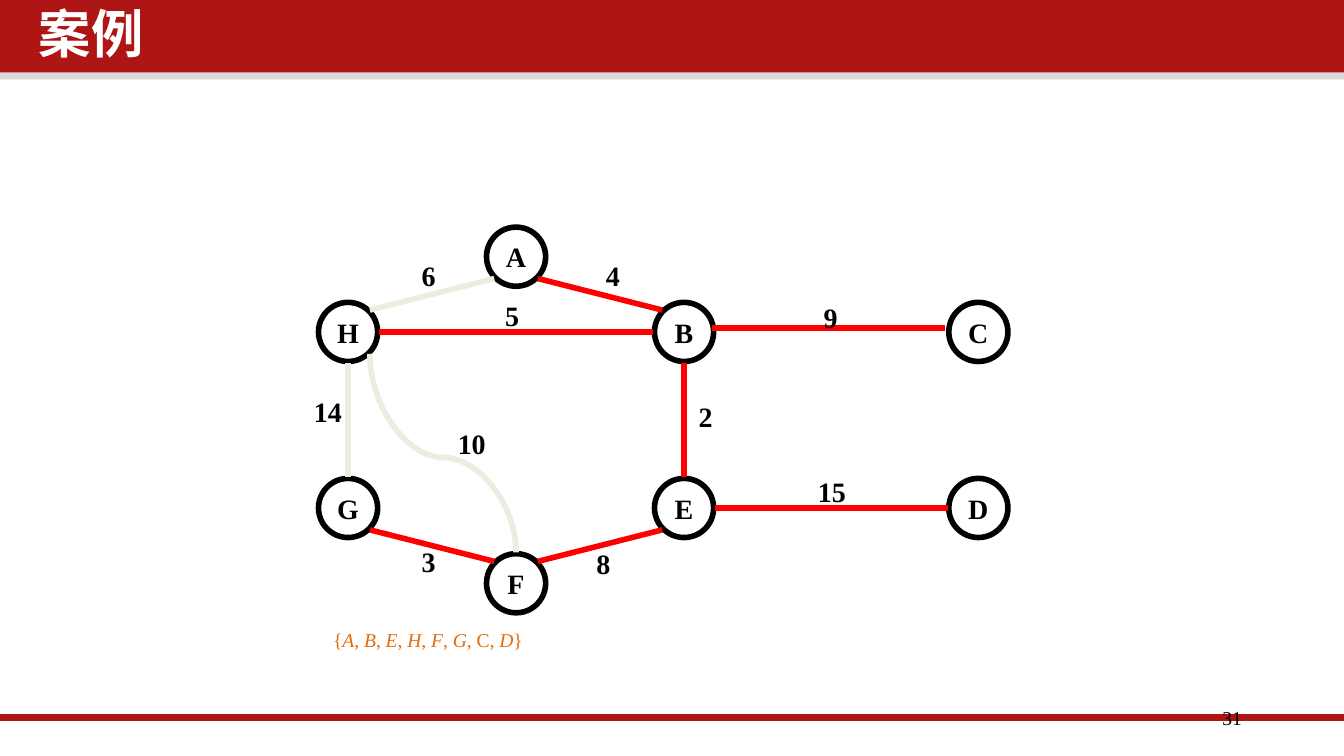
"""Build a slide showing a weighted graph with its spanning tree in red."""
from dataclasses import dataclass
from itertools import groupby
from math import sqrt

from lxml.etree import SubElement
from pptx import Presentation
from pptx.dml.color import RGBColor
from pptx.enum.shapes import MSO_CONNECTOR, MSO_SHAPE
from pptx.enum.text import MSO_ANCHOR, MSO_AUTO_SIZE, PP_ALIGN
from pptx.oxml.ns import qn
from pptx.util import Inches, Pt

SERIF = "Times New Roman"
SANS = "Noto Sans CJK SC"
RED, BAND, PALE, BLACK = "FF0000", "AE1616", "EEECE1", "000000"
RADIUS, REACH = 0.22, 0.23
D = sqrt(0.5)
SITES = {"N": (0, -1), "S": (0, 1), "W": (-1, 0), "E": (1, 0),
         "NW": (-D, -D), "NE": (D, -D), "SW": (-D, D), "SE": (D, D)}


@dataclass
class Node:
    name: str
    x: float
    y: float

    def site(self, side: str) -> tuple[float, float]:
        dx, dy = SITES[side]
        return self.x + REACH * dx, self.y + REACH * dy


@dataclass
class Edge:
    start: str
    start_side: str
    end: str
    end_side: str
    weight: str
    label_x: float
    label_y: float
    color: str = RED
    shift_x: float = 0
    shift_y: float = 0
    curved: bool = False


LEFT, MID, RIGHT, FAR = 2.59, 3.84, 5.09, 7.28
NODES = {n.name: n for n in (
    Node("H", LEFT, 2.47), Node("B", RIGHT, 2.47), Node("C", FAR, 2.47),
    Node("G", LEFT, 3.78), Node("E", RIGHT, 3.78), Node("D", FAR, 3.78),
    Node("F", MID, 4.34), Node("A", MID, 1.91))}
EDGES = [
    Edge("A", "SE", "B", "NW", "4", 4.56, 2.05),
    Edge("A", "SW", "H", "NE", "6", 3.19, 2.05, PALE),
    Edge("H", "E", "B", "W", "5", 3.81, 2.35),
    Edge("G", "N", "H", "S", "14", 2.44, 3.06, PALE),
    Edge("G", "SE", "F", "NW", "3", 3.19, 4.18),
    Edge("F", "NE", "E", "SW", "8", 4.49, 4.19),
    Edge("E", "N", "B", "S", "2", 5.25, 3.1),
    Edge("B", "E", "C", "W", "9", 6.18, 2.36, shift_x=-0.02, shift_y=-0.03),
    Edge("E", "E", "D", "W", "15", 6.19, 3.66),
    Edge("F", "N", "H", "SE", "10", 3.51, 3.3, PALE, curved=True),
]


def rgb(color: str) -> RGBColor:
    return RGBColor.from_string(color)


def set_font(font, size: float, color: str = BLACK, bold: bool = False, name: str = SERIF) -> None:
    font.name, font.size, font.bold = name, Pt(size), bold
    font.color.rgb = rgb(color)


def add_band(slide, top: float, height: float, color: str) -> None:
    sp = slide.shapes.add_shape(MSO_SHAPE.RECTANGLE, 0, Inches(top), Inches(10), Inches(height))
    sp.shadow.inherit = False
    sp.fill.solid()
    sp.fill.fore_color.rgb = rgb(color)
    sp.line.fill.background()


def add_line(slide, x1: float, y1: float, x2: float, y2: float, color: str,
             width: float = 3, kind=MSO_CONNECTOR.STRAIGHT):
    line = slide.shapes.add_connector(kind, Inches(x1), Inches(y1), Inches(x2), Inches(y2))
    line.line.color.rgb = rgb(color)
    line.line.width = Pt(width)
    SubElement(line._element.spPr, qn("a:effectLst"))
    return line


def add_curve(slide, x1: float, y1: float, x2: float, y2: float, color: str) -> None:
    """Draw an S curve that leaves and arrives vertically, as a connector turned by 90 degrees."""
    cx, cy = (x1 + x2) / 2, (y1 + y2) / 2
    half_w, half_h = abs(y2 - y1) / 2, abs(x2 - x1) / 2
    line = add_line(slide, cx + half_w, cy - half_h, cx - half_w, cy + half_h,
                    color, kind=MSO_CONNECTOR.CURVE)
    sp_pr = line._element.spPr
    sp_pr.find(qn("a:xfrm")).set("rot", "5400000")
    guides = sp_pr.find(qn("a:prstGeom")).find(qn("a:avLst"))
    SubElement(guides, qn("a:gd"), name="adj1", fmla="val 47800")


def add_node(slide, node: Node) -> None:
    sp = slide.shapes.add_shape(MSO_SHAPE.OVAL, Inches(node.x - RADIUS), Inches(node.y - RADIUS),
                                Inches(2 * RADIUS), Inches(2 * RADIUS))
    sp.shadow.inherit = False
    sp.fill.background()
    sp.line.color.rgb = rgb(BLACK)
    sp.line.width = Pt(3)
    tf = sp.text_frame
    tf.word_wrap = False
    tf.vertical_anchor = MSO_ANCHOR.MIDDLE
    p = tf.paragraphs[0]
    p.text, p.alignment = node.name, PP_ALIGN.CENTER
    set_font(p.font, 15, bold=True)


def add_edge(slide, edge: Edge) -> None:
    x1, y1 = NODES[edge.start].site(edge.start_side)
    x2, y2 = NODES[edge.end].site(edge.end_side)
    draw = add_curve if edge.curved else add_line
    draw(slide, x1 + edge.shift_x, y1 + edge.shift_y,
         x2 + edge.shift_x, y2 + edge.shift_y, edge.color)


def add_text(slide, x: float, y: float, w: float, h: float):
    tf = slide.shapes.add_textbox(Inches(x), Inches(y), Inches(w), Inches(h)).text_frame
    tf.word_wrap = False
    return tf


def add_weight(slide, edge: Edge) -> None:
    w, h = 0.2 + 0.11 * len(edge.weight), 0.35
    tf = add_text(slide, edge.label_x - w / 2, edge.label_y - h / 2, w, h)
    tf.auto_size = MSO_AUTO_SIZE.SHAPE_TO_FIT_TEXT
    p = tf.paragraphs[0]
    p.text, p.alignment = edge.weight, PP_ALIGN.CENTER
    set_font(p.font, 15, bold=True)


def add_visited(slide, text: str) -> None:
    tf = add_text(slide, 2.38, 4.62, 1.62, 0.28)
    tf.auto_size = MSO_AUTO_SIZE.SHAPE_TO_FIT_TEXT
    p = tf.paragraphs[0]
    set_font(p.font, 10.5, "E36C09")
    for italic, chars in groupby(text, lambda c: c.isalpha() and c != "C"):
        r = p.add_run()
        r.text, r.font.italic = "".join(chars), italic


def set_margins(tf) -> None:
    tf.margin_left = tf.margin_right = Inches(0.07)
    tf.margin_top = tf.margin_bottom = Inches(0.04)


def add_page_number(slide, number: str) -> None:
    tf = add_text(slide, 7.06, 5.21, 2.25, 0.3)
    tf.word_wrap = True
    set_margins(tf)
    p = tf.paragraphs[0]
    p.text, p.alignment = number, PP_ALIGN.RIGHT
    set_font(p.font, 10.5)


def set_title(slide, text: str) -> None:
    title = slide.shapes.title
    title.left, title.top, title.width, title.height = map(Inches, (0.22, 0.02, 7.64, 0.59))
    tf = title.text_frame
    tf.auto_size = MSO_AUTO_SIZE.NONE
    tf.vertical_anchor = MSO_ANCHOR.TOP
    set_margins(tf)
    p = tf.paragraphs[0]
    p.text, p.alignment = text, PP_ALIGN.LEFT
    p.line_spacing, p.space_before = 0.9, Pt(7.5)
    set_font(p.font, 28, "FFFFFF", True, SANS)
    SubElement(p._p.pPr.find(qn("a:defRPr")), qn("a:ea"), typeface=SANS)
    slide.shapes._spTree.append(title._element)


def main() -> None:
    prs = Presentation()
    prs.slide_width, prs.slide_height = Inches(10), Inches(10 * 9 / 16)
    slide = prs.slides.add_slide(prs.slide_layouts[5])
    add_band(slide, 0.5, 0.09, "D9D9D9")
    add_band(slide, 0, 0.54, BAND)
    add_line(slide, -0.02, 5.34, 10, 5.34, BAND, 4)
    add_page_number(slide, "31")
    for node in NODES.values():
        add_node(slide, node)
    for edge in EDGES:
        add_edge(slide, edge)
    for edge in EDGES:
        add_weight(slide, edge)
    add_visited(slide, "{A, B, E, H, F, G, C, D}")
    set_title(slide, "案例")
    prs.save("out.pptx")


if __name__ == "__main__":
    main()
